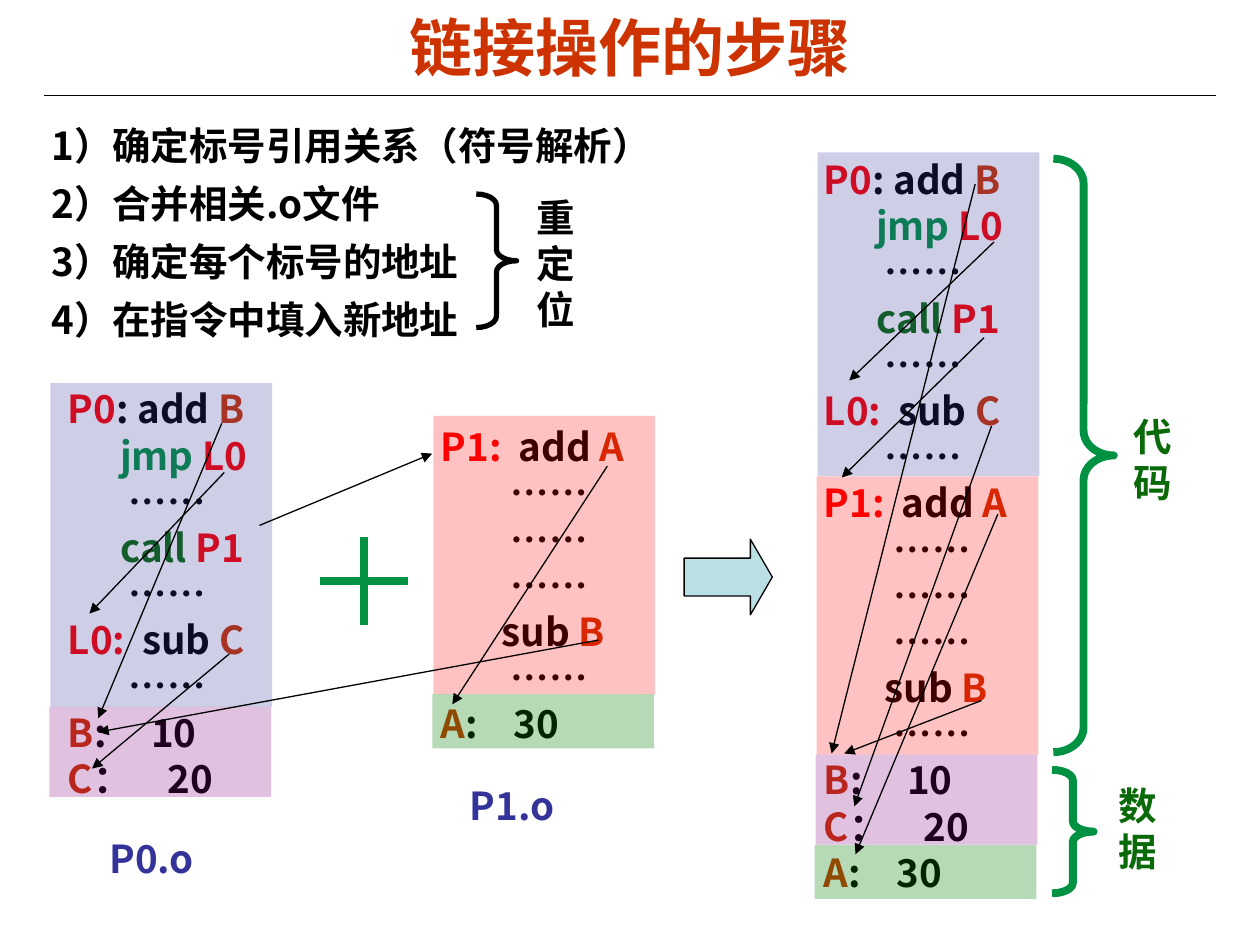
from lxml import etree
from pptx import Presentation
from pptx.dml.color import RGBColor
from pptx.enum.shapes import MSO_CONNECTOR, MSO_SHAPE
from pptx.enum.text import MSO_ANCHOR, PP_ALIGN
from pptx.oxml.ns import qn
from pptx.util import Inches, Pt

RECT, ARROW, BRACE = MSO_SHAPE.RECTANGLE, MSO_SHAPE.RIGHT_ARROW, MSO_SHAPE.RIGHT_BRACE
LINE, MIDDLE, CENTER = MSO_CONNECTOR.STRAIGHT, MSO_ANCHOR.MIDDLE, PP_ALIGN.CENTER
COLS, ROWS = 100, 75
WIDE, HIGH = Inches(10), Inches(7.5)
SANS, CJK = "Arial", "Noto Sans CJK SC"
HUES = {
    "black": "000000", "red": "FF0000", "rust": "CC3300", "green": "009242",
    "dark": "0A6A0A", "navy": "333399", "plum": "800080", "leaf": "008000", "pale": "BBE0E3",
}
DOTS = [("black", "       ……")]
DEEP = [("black", "        ……")]
BANDS = {
    "p0 code": ("navy", 24, 25.7, [
        [("red", "P0"), ("black", ": add "), ("rust", "B")],
        [("green", "      jmp "), ("red", "L0")],
        DOTS,
        [("dark", "      call "), ("red", "P1")],
        DOTS,
        [("red", "L0:\t"), ("black", "sub "), ("rust", "C")],
        DOTS,
    ]),
    "p1 code": ("red", 24, 22.1, [
        [("red", "P1:\t"), ("black", "add "), ("rust", "A")],
        DEEP, DEEP, DEEP,
        [("black", "       sub "), ("rust", "B")],
        DEEP,
    ]),
    "p0 data": ("plum", 24, 7.15, [
        [("rust", "B"), ("black", ":\t10")],
        [("rust", "C"), ("black", "：\t20")],
    ]),
    "p1 data": ("leaf", 29, 4.3, [[("rust", "A"), ("black", ":\t30")]]),
}
TABS = {"L0": 5.9, "P1": 6.2, "B": 6.6, "C": 7.9, "A": 5.8}
STEPS = ["1）确定标号引用关系（符号解析）", "2）合并相关.o文件", "3）确定每个标号的地址", "4）在指令中填入新地址"]


def hue(key):
    """Return the named colour."""
    return RGBColor.from_string(HUES[key])


def grid(*cells):
    """Turn alternating columns and rows into slide lengths."""
    units = (WIDE / COLS, HIGH / ROWS)
    return [round(cell * units[i % 2]) for i, cell in enumerate(cells)]


def apply(item, form):
    """Set every attribute in a dict of format values."""
    for key, value in form.items():
        setattr(item, key, value)


def write(para, text, key, size=22, face=CJK):
    """Add one bold coloured run."""
    run = para.add_run()
    run.text = text
    apply(run.font, {"size": Pt(size), "bold": True, "name": face})
    run.font.color.rgb = hue(key)
    etree.SubElement(run.font._element, qn("a:ea"), typeface=CJK)


def frame(slide, box):
    """Add a wrapping text box and return its frame."""
    text = slide.shapes.add_textbox(*grid(*box)).text_frame
    text.word_wrap = True
    return text


def label(slide, box, text, key, face=SANS):
    """Place a short label."""
    write(frame(slide, box).paragraphs[0], text, key, face=face)


def line(slide, start, end, key="black", width=0.75, head=False):
    """Draw a line, with an arrowhead if asked."""
    link = slide.shapes.add_connector(LINE, *grid(*start, *end))
    link.line.color.rgb = hue(key)
    link.line.width = Pt(width)
    if head:
        etree.SubElement(link.line._get_or_add_ln(), qn("a:tailEnd"), type="triangle")
    etree.SubElement(link._element.spPr, qn("a:effectLst"))


def shape(slide, kind, box, fill=None, edge=None, width=0.75, adjust=(), alpha=None):
    """Place a preset shape."""
    form = slide.shapes.add_shape(kind, *grid(*box))
    form.shadow.inherit = False
    for i, value in enumerate(adjust):
        form.adjustments[i] = value
    if fill:
        form.fill.solid()
        form.fill.fore_color.rgb = hue(fill)
    else:
        form.fill.background()
    if alpha:
        tint = form._element.spPr.find(".//" + qn("a:srgbClr"))
        etree.SubElement(tint, qn("a:alpha"), val=str(alpha * 1000))
    if edge:
        form.line.color.rgb = hue(edge)
        form.line.width = Pt(width)
    else:
        form.line.fill.background()


def header(slide, box):
    """Fill the title and draw its rule."""
    title = slide.shapes.title
    x, y, w, h = box
    apply(title, dict(zip(("left", "top", "width", "height"), grid(x + 1.5, y, w - 3, h))))
    apply(title.text_frame, {"vertical_anchor": MIDDLE, "word_wrap": True})
    para = title.text_frame.paragraphs[0]
    para.alignment = CENTER
    write(para, "链接操作的步骤", "rust", 36, SANS)
    line(slide, (x, y + 7), (x + w, y + 7))


def steps(slide, box):
    """List the numbered steps."""
    text = frame(slide, box)
    for i, step in enumerate(STEPS):
        para = text.paragraphs[0] if i == 0 else text.add_paragraph()
        para.line_spacing = 1.05
        if i:
            para.space_before = Pt(5.5)
        write(para, step, "black")


def module(slide, box, names, shift, links):
    """Stack a module's code and data bands with its reference arrows."""
    x, y, w = box
    total = sum(BANDS[name][2] for name in names)
    text = frame(slide, (x + shift[0], y + shift[1], w + 2.9, total + 1))
    rows = [row for name in names for row in BANDS[name][3]]
    for i, row in enumerate(rows):
        para = text.paragraphs[0] if i == 0 else text.add_paragraph()
        if any("\t" in part for _, part in row):
            stops = etree.SubElement(para._p.get_or_add_pPr(), qn("a:tabLst"))
            place = grid(TABS[row[0][1].strip(":\t")])[0]
            etree.SubElement(stops, qn("a:tab"), pos=str(place), algn="l")
        for key, part in row:
            write(para, part, key)
    top = y
    for i, name in enumerate(names):
        fill, alpha, high, _ = BANDS[name]
        shape(slide, RECT, (x - i * 0.08, top, w, high), fill, alpha=alpha)
        top += high
    for a, b, c, d in links:
        line(slide, (x + a, y + b), (x + c, y + d), head=True)


def group(slide, box, text, key, width, bend, spot):
    """Draw a brace and the label beside it."""
    shape(slide, BRACE, box, edge=key, width=width, adjust=(bend, 0.5))
    label(slide, spot, text, "dark" if key == "green" else key)


def plus(slide, box):
    """Draw a plus sign from two lines."""
    x, y, size = box
    half = size / 2
    line(slide, (x, y + half), (x + size, y + half), "green", 4.5)
    line(slide, (x + half, y), (x + half, y + size), "green", 4.5)


def main():
    """Build and save the slide."""
    deck = Presentation()
    deck.slide_width, deck.slide_height = WIDE, HIGH
    slide = deck.slides.add_slide(deck.slide_layouts[5])
    header(slide, (3.5, 0.6, 93, 6.1))
    steps(slide, (3.1, 9, 52.7, 18.8))
    plus(slide, (25.4, 42.6, 7))
    shape(slide, ARROW, (54.3, 42.8, 7, 6), "pale", "black", adjust=(0.5, 0.29))
    group(slide, (83.6, 12.6, 4.8, 47.1), "代码", "green", 4.5, 0.41, (89, 32.3, 7, 8.4))
    group(slide, (83.5, 61.1, 3.3, 9.8), "数据", "green", 4.5, 0.25, (87.8, 61.6, 7, 8.4))
    group(slide, (37.8, 15.4, 3.2, 10.6), "重定位", "black", 3, 0.28, (41.6, 14.9, 5.9, 12))
    module(slide, (64.9, 12.1, 17.6), ["p0 code", "p1 code", "p0 data", "p1 data"], (-0.5, -0.2), [
        (12.5, 2.5, 1.1, 47.7), (13, 43.5, 2.1, 47.7), (14.3, 28.7, 3, 55.7),
        (13.8, 21.7, 2.9, 51.9), (14, 7.1, 2.5, 18.1), (13.2, 14.7, 1.9, 25.8),
    ])
    module(slide, (34.4, 33, 17.6), ["p1 code", "p1 data"], (-0.4, 0.1), [(13.8, 4, 1.5, 22.9)])
    module(slide, (4, 30.4, 17.6), ["p0 code", "p0 data"], (0.4, -0.3), [
        (13.8, 7.1, 3.1, 18.3), (13.6, 3.2, 3.8, 26.6), (14.2, 21.5, 3.3, 30.6),
    ])
    label(slide, (36.3, 61.6, 10.2, 4.7), "P1.o", "navy", CJK)
    label(slide, (7.7, 65.8, 10.2, 4.7), "P0.o", "navy", CJK)
    line(slide, (20.6, 41.7), (34.3, 36), head=True)
    line(slide, (47.5, 50.8), (7.8, 58.1), head=True)
    deck.save("out.pptx")


if __name__ == "__main__":
    main()
